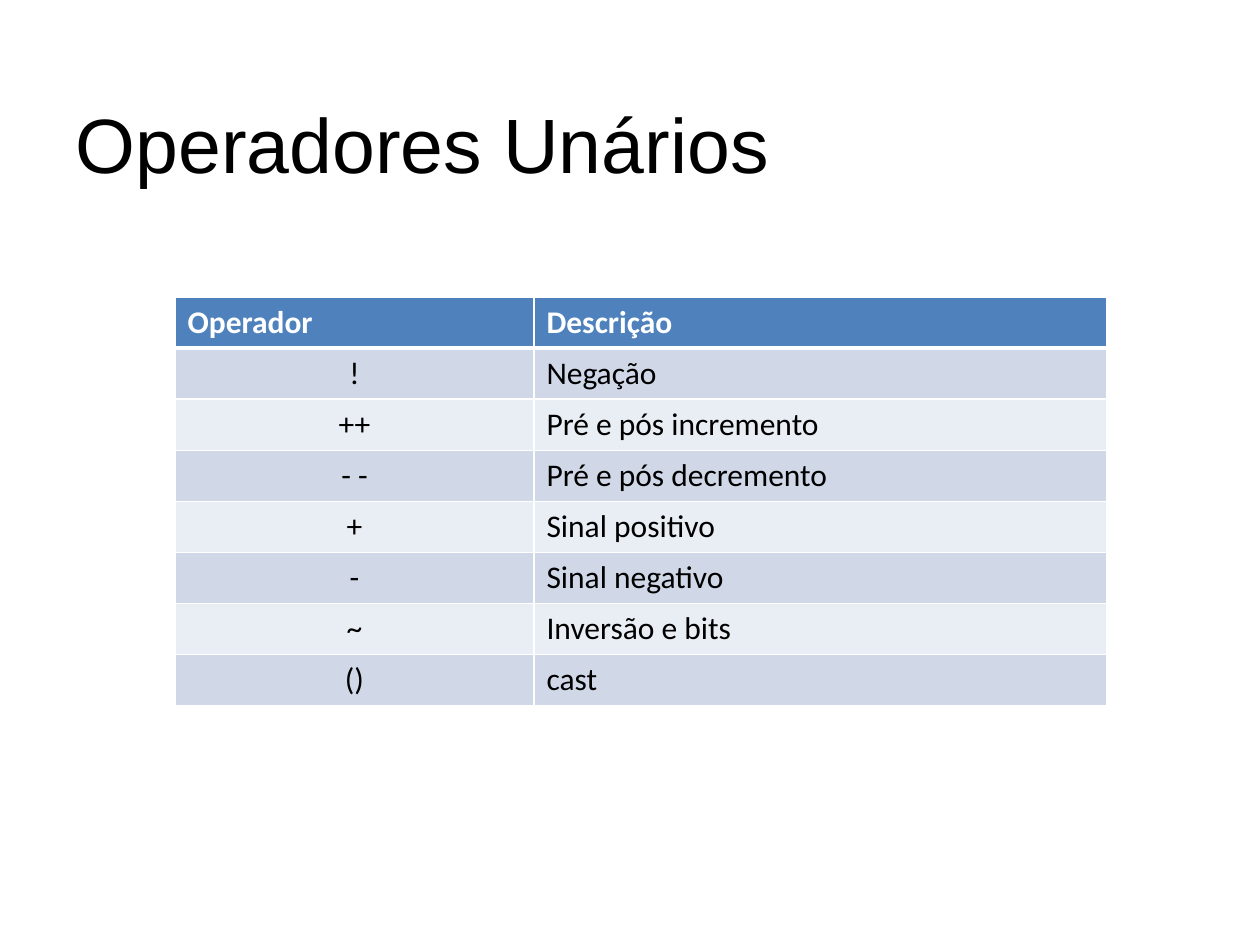
from lxml.etree import SubElement
from pptx import Presentation
from pptx.dml.color import RGBColor
from pptx.enum.text import MSO_ANCHOR as Anchor, MSO_AUTO_SIZE as AutoSize, PP_ALIGN as Align
from pptx.oxml.ns import qn
from pptx.util import Pt

EMU_PER_PX = 914400 // 126
COLORS = {
    "black": "000000",
    "white": "FFFFFF",
    "header": "4F81BD",
    "odd_row": "D0D8E8",
    "even_row": "E9EDF4",
}
OPERATORS = [
    ("Operador", "Descrição"),
    ("!", "Negação"),
    ("++", "Pré e pós incremento"),
    ("- -", "Pré e pós decremento"),
    ("+", "Sinal positivo"),
    ("-", "Sinal negativo"),
    ("~", "Inversão e bits"),
    ("()", "cast"),
]


def px(length):
    return length * EMU_PER_PX


class SlideBuilder:
    """Holds the text styles and the current slide."""

    title_style = {"name": "Arial", "size": Pt(44), "bold": False}
    cell_style = {"name": "Calibri", "size": Pt(18)}

    def __init__(self, slide):
        self.slide = slide

    def add_text(self, text_frame, text, style, color, align):
        paragraph = text_frame.paragraphs[0]
        paragraph.alignment = align
        run = paragraph.add_run()
        run.text = text
        for attribute, value in style.items():
            setattr(run.font, attribute, value)
        run.font.color.rgb = RGBColor.from_string(COLORS[color])

    def title(self, text, left, top, width, height):
        shape = self.slide.shapes.title
        place = {"left": left, "top": top, "width": width, "height": height}
        for attribute, value in place.items():
            setattr(shape, attribute, px(value))
        frame = shape.text_frame
        layout = {"word_wrap": True, "auto_size": AutoSize.NONE,
                  "vertical_anchor": Anchor.BOTTOM}
        for attribute, value in layout.items():
            setattr(frame, attribute, value)
        self.add_text(frame, text, self.title_style, "black", Align.LEFT)

    def borders(self, cell, widths):
        properties = cell._tc.get_or_add_tcPr()
        for position, (side, width) in enumerate(widths.items()):
            line = SubElement(properties, qn(f"a:{side}"), w=str(Pt(width)))
            fill = SubElement(line, qn("a:solidFill"))
            SubElement(fill, qn("a:srgbClr"), val=COLORS["white"])
            # Border lines come before the cell fill
            properties.insert(position, line)

    def table(self, rows, left, top, column_widths, row_height):
        frame = self.slide.shapes.add_table(
            len(rows), len(column_widths), px(left), px(top),
            px(sum(column_widths)), px(row_height * len(rows)))
        table = frame.table
        for column, width in zip(table.columns, column_widths):
            column.width = px(width)
        for r, values in enumerate(rows):
            table.rows[r].height = px(row_height)
            is_header = r == 0
            fill = "header" if is_header else "odd_row" if r % 2 else "even_row"
            widths = {"lnL": 1, "lnR": 1, "lnT": 3 if r == 1 else 1,
                      "lnB": 3 if is_header else 1}
            for c, text in enumerate(values):
                cell = table.cell(r, c)
                cell.fill.solid()
                cell.fill.fore_color.rgb = RGBColor.from_string(COLORS[fill])
                self.borders(cell, widths)
                centered = c == 0 and not is_header
                self.add_text(cell.text_frame, text,
                              {**self.cell_style, "bold": is_header},
                              "white" if is_header else "black",
                              Align.CENTER if centered else Align.LEFT)


def main():
    presentation = Presentation()
    presentation.slide_width = px(1260)
    presentation.slide_height = px(945)
    slide = presentation.slides.add_slide(presentation.slide_layouts[5])
    builder = SlideBuilder(slide)

    # Heading
    builder.title("Operadores Unários", 63, 38, 1134, 157)

    # Operators and their descriptions
    builder.table(OPERATORS, 175, 297, [359, 573], 51)

    presentation.save("out.pptx")


if __name__ == "__main__":
    main()
